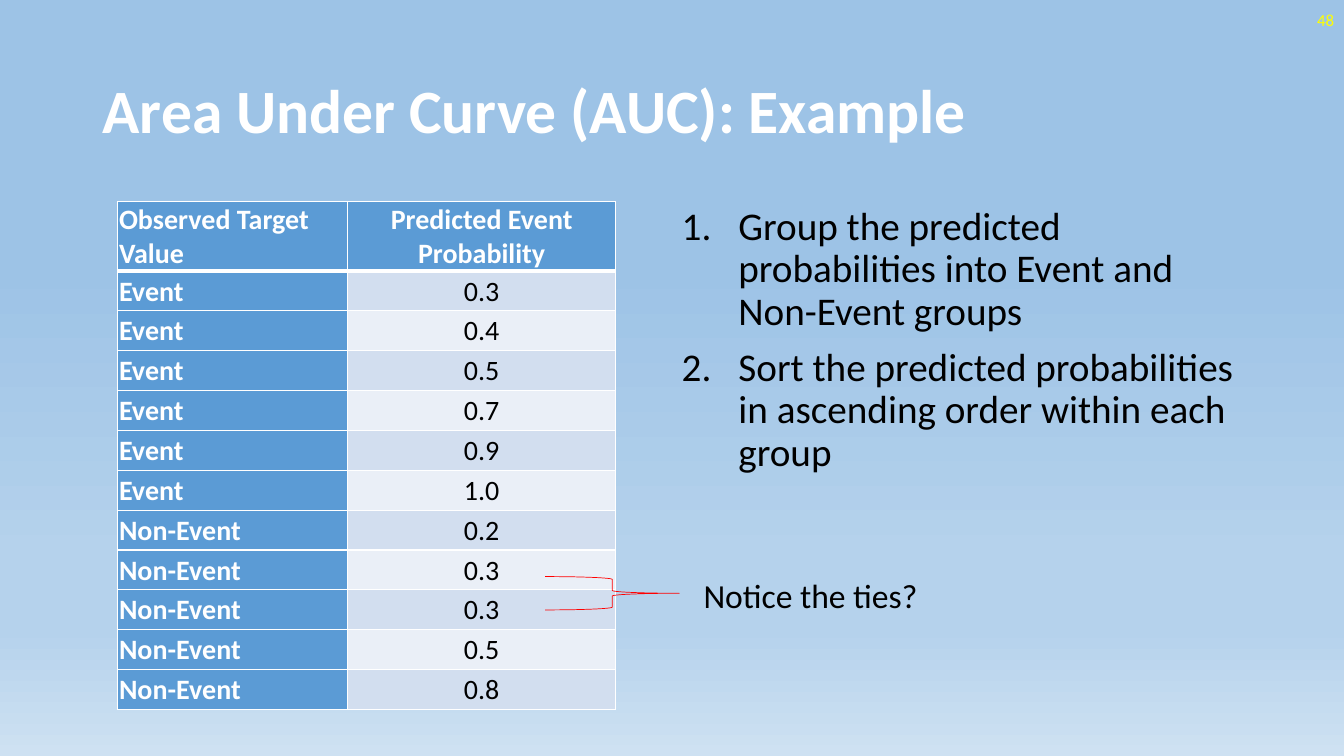
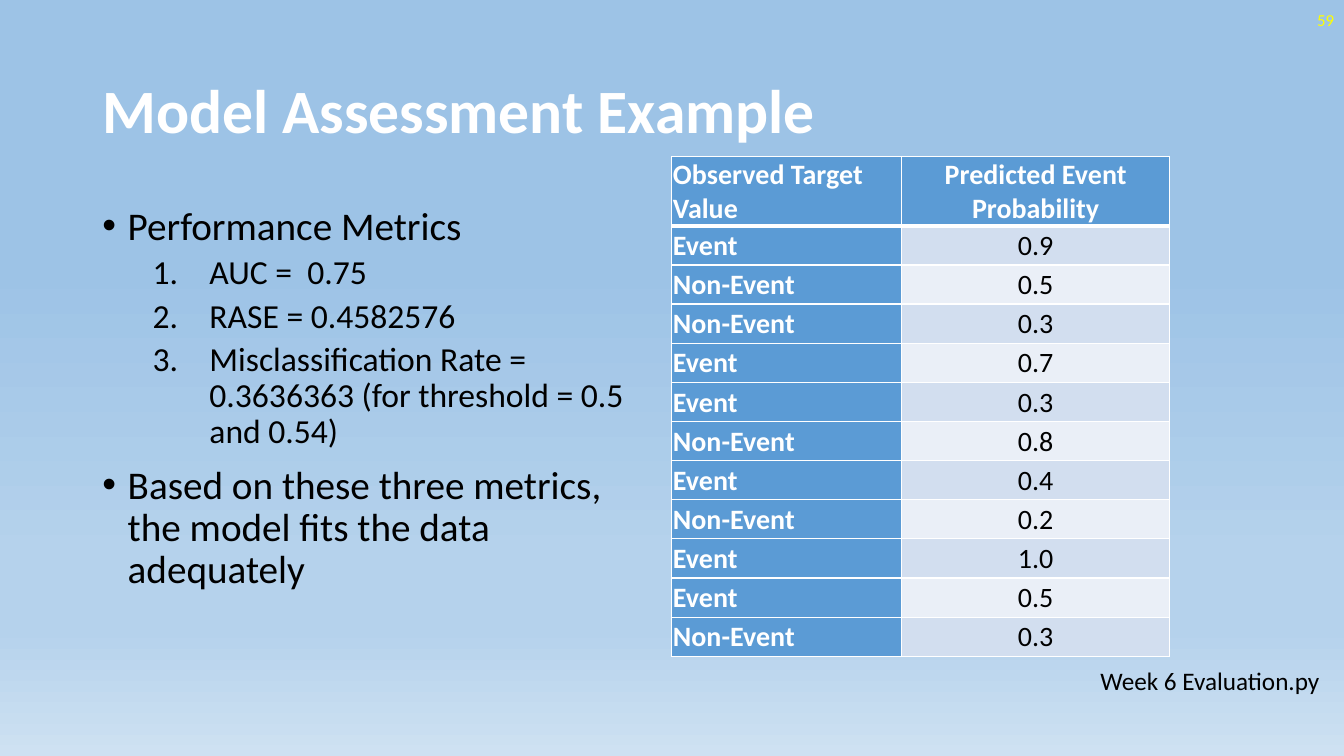
from lxml import etree
from pptx import Presentation
from pptx.dml.color import RGBColor
from pptx.enum.shapes import MSO_SHAPE
from pptx.enum.text import MSO_ANCHOR, PP_ALIGN
from pptx.oxml.ns import qn
from pptx.util import Cm, Pt

LEFT, CENTER, RIGHT = PP_ALIGN.LEFT, PP_ALIGN.CENTER, PP_ALIGN.RIGHT
TOP, MIDDLE = MSO_ANCHOR.TOP, MSO_ANCHOR.MIDDLE
BRACE = MSO_SHAPE.RIGHT_BRACE
FONT = "Calibri"
COLORS = {
    "white": "FFFFFF", "black": "000000", "yellow": "FFFF00", "red": "FF0000",
    "head": "5B9BD5", "odd": "D2DEEF", "even": "EAEFF7",
    "sky": "9DC3E6", "haze": "B5D2EC", "pale": "CEE1F2",
}
STOPS = [(35, "sky"), (74, "haze"), (83, "haze"), (100, "pale")]
NUMBER = {"bullet": "1.", "indent": 1.43, "hang": 1.43}
DOT = {"bullet": "•", "indent": 0.64, "hang": 0.64}
SUB = {"bullet": "1.", "indent": 2.7, "hang": 1.43, "level": 1,
       "size": 24, "before": 5}


def color(name):
    return RGBColor.from_string(COLORS[name])


def node(parent, tag, **attrs):
    return etree.SubElement(parent, qn(tag), attrs)


def write(para, text, size=28, hue="black", bold=False, align=LEFT, space=None,
          before=0, level=0, bullet=None, indent=0, hang=0):
    para.text = text
    para.alignment = align
    para.level = level
    if bullet:
        props = para._p.get_or_add_pPr()
        props.set("marL", str(Cm(indent)))
        props.set("indent", str(-Cm(hang)))
        if bullet == "1.":
            node(props, "a:buFont", typeface="+mj-lt")
            node(props, "a:buAutoNum", type="arabicPeriod")
        else:
            node(props, "a:buFont", typeface="Arial")
            node(props, "a:buChar", char=bullet)
    para.line_spacing = space
    para.space_before = Pt(before)
    for run in para.runs:
        font = run.font
        font.name, font.size, font.bold = FONT, Pt(size), bold
        font.color.rgb = color(hue)


class Deck:
    def __init__(self):
        self.file = Presentation()
        self.file.slide_width, self.file.slide_height = Cm(33.87), Cm(19.05)
        self.slide = None
        master = self.file.slide_master
        fill = master.background.fill
        fill.gradient()
        fill.gradient_angle = 270
        stops = next(master.element.iter(qn("a:gsLst")))
        for old in list(stops):
            stops.remove(old)
        for spot, name in STOPS:
            stop = node(stops, "a:gs", pos=str(spot * 1000))
            node(stop, "a:srgbClr", val=COLORS[name])

    def start(self, title, page):
        self.slide = self.file.slides.add_slide(self.file.slide_layouts[5])
        head = self.slide.shapes.title
        head.left, head.top = Cm(2.33), Cm(1.01)
        head.width, head.height = Cm(29.21), Cm(3.68)
        head.text_frame.vertical_anchor = MIDDLE
        write(head.text_frame.paragraphs[0], title, size=44, hue="white",
              bold=True, space=0.9)
        self.text(page, 26.25, 0, 7.62, 1.01, anchor=MIDDLE, size=12,
                  hue="yellow", align=RIGHT)

    def box(self, x, y, w, h, wrap=True, anchor=TOP):
        shape = self.slide.shapes.add_textbox(Cm(x), Cm(y), Cm(w), Cm(h))
        frame = shape.text_frame
        frame.word_wrap, frame.vertical_anchor = wrap, anchor
        return frame

    def text(self, words, x, y, w, h, wrap=True, anchor=TOP, **style):
        frame = self.box(x, y, w, h, wrap, anchor)
        write(frame.paragraphs[0], words, **style)

    def items(self, lines, x, y, w, h):
        frame = self.box(x, y, w, h)
        for i, (words, style) in enumerate(lines):
            para = frame.add_paragraph() if i else frame.paragraphs[0]
            look = {"before": 10, "space": 0.9, **style}
            if not i:
                look["before"] = 0
            write(para, words, **look)

    def cell(self, cell, words, fill, tops, **style):
        cell.margin_left = cell.margin_right = cell.margin_top = Cm(0.03)
        cell.margin_bottom = 0
        cell.vertical_anchor = MIDDLE
        props = cell._tc.get_or_add_tcPr()
        for side, width in zip("LRTB", (1, 1, *tops)):
            line = node(props, "a:ln" + side, w=str(Pt(width)))
            node(node(line, "a:solidFill"), "a:srgbClr", val=COLORS["white"])
        cell.fill.solid()
        cell.fill.fore_color.rgb = color(fill)
        write(cell.text_frame.paragraphs[0], words, size=20, **style)

    def table(self, rows, x, y, h):
        first, widths = 1.75, (5.79, 6.76)
        data = [("Observed Target Value", "Predicted Event Probability"), *rows]
        grid = self.slide.shapes.add_table(
            len(data), 2, Cm(x), Cm(y), Cm(sum(widths)), Cm(h)).table
        for col, width in zip(grid.columns, widths):
            col.width = Cm(width)
        for r, pair in enumerate(data):
            grid.rows[r].height = Cm((h - first) / len(rows) if r else first)
            tops = (3 if r == 1 else 1, 1 if r else 3)
            for c, words in enumerate(pair):
                label = r == 0 or c == 0
                fill = "head" if label else "odd" if r % 2 else "even"
                self.cell(grid.cell(r, c), words, fill, tops, bold=label,
                          hue="white" if label else "black",
                          align=CENTER if c else LEFT)

    def brace(self, x, y, w, h):
        shape = self.slide.shapes.add_shape(BRACE, Cm(x), Cm(y), Cm(w), Cm(h))
        shape.shadow.inherit = False
        shape.fill.background()
        shape.line.color.rgb = color("red")
        shape.line.width = Pt(0.5)


def pairs(codes, values):
    names = {"E": "Event", "N": "Non-Event"}
    return [(names[code], value) for code, value in zip(codes, values.split())]


def main():
    deck = Deck()

    deck.start("Area Under Curve (AUC): Example", "48")
    deck.items([
        ("Group the predicted probabilities into Event and Non-Event groups",
         NUMBER),
        ("Sort the predicted probabilities in ascending order within each group",
         NUMBER),
    ], 16.93, 5.08, 14.6, 12.09)
    deck.table(pairs("EEEEEENNNNN", "0.3 0.4 0.5 0.7 0.9 1.0 0.2 0.3 0.3 0.5 0.8"),
               2.97, 5.08, 12.8)
    deck.brace(13.74, 14.53, 3.38, 0.84)
    deck.text("Notice the ties?", 17.48, 14.35, 7.29, 1.27, size=24)

    deck.start("Model Assessment Example", "59")
    deck.items([
        ("Performance Metrics", DOT),
        ("AUC =  0.75", SUB),
        ("RASE = 0.4582576", SUB),
        ("Misclassification Rate = 0.3636363 (for threshold = 0.5 and 0.54)", SUB),
        ("Based on these three metrics,\vthe model fits the data adequately", DOT),
    ], 2.33, 5.08, 14.2, 12.09)
    deck.table(pairs("ENNEENENEEN", "0.9 0.5 0.3 0.7 0.3 0.8 0.4 0.2 1.0 0.5 0.3"),
               16.93, 3.94, 12.6)
    deck.text("Week 6 Evaluation.py", 27.48, 16.64, 6.1, 1.02, wrap=False, size=18)

    deck.file.save("out.pptx")


if __name__ == "__main__":
    main()
